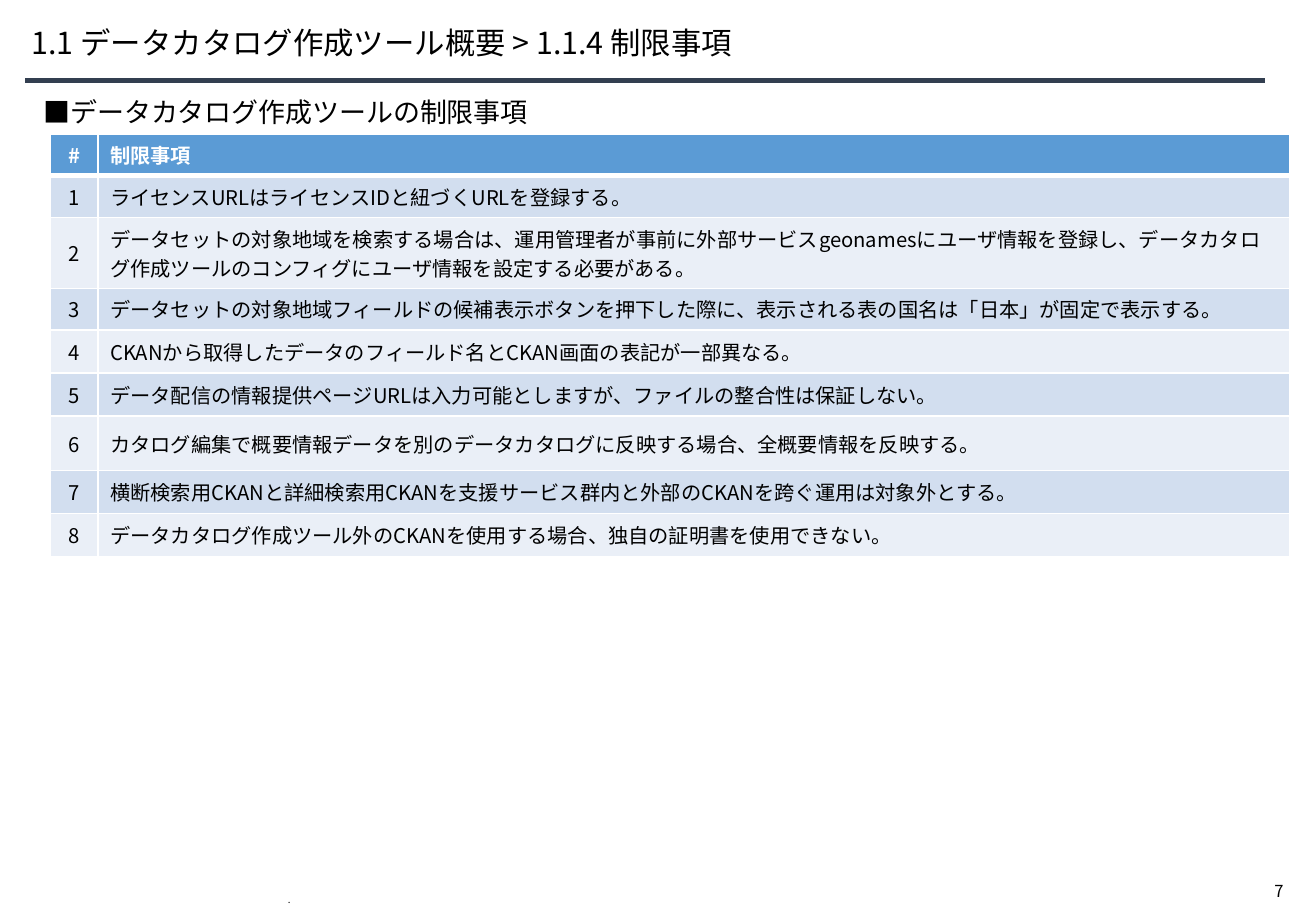
from lxml import etree
from pptx import Presentation
from pptx.dml import color
from pptx.enum import shapes, text
from pptx.oxml import ns
from pptx.util import Cm, Pt

FONT = "Noto Sans CJK JP"
BLACK, WHITE, NAVY, BLUE = "000000", "FFFFFF", "333F50", "5B9BD5"
BANDS = ("D2DEEF", "EAEFF7")
LIMITS = [
    (0.88, "ライセンスURLはライセンスIDと紐づくURLを登録する。"),
    (1.48, "データセットの対象地域を検索する場合は、運用管理者が事前に外部サービスgeonamesにユーザ情報を登録し、"
           "データカタログ作成ツールのコンフィグにユーザ情報を設定する必要がある。"),
    (0.87, "データセットの対象地域フィールドの候補表示ボタンを押下した際に、表示される表の国名は「日本」が固定で表示する。"),
    (0.9, "CKANから取得したデータのフィールド名とCKAN画面の表記が一部異なる。"),
    (0.9, "データ配信の情報提供ページURLは入力可能としますが、ファイルの整合性は保証しない。"),
    (1.14, "カタログ編集で概要情報データを別のデータカタログに反映する場合、全概要情報を反映する。"),
    (0.9, "横断検索用CKANと詳細検索用CKANを支援サービス群内と外部のCKANを跨ぐ運用は対象外とする。"),
    (0.9, "データカタログ作成ツール外のCKANを使用する場合、独自の証明書を使用できない。"),
]


def rgb(value):
    """Turn a hex string into a colour."""
    return color.RGBColor.from_string(value)


def write(frame, content, size, ink=BLACK, bold=False, align=text.PP_ALIGN.LEFT):
    """Fill a text frame with one styled paragraph and return it."""
    paragraph = frame.paragraphs[0]
    paragraph.text = content
    paragraph.alignment = align
    font = paragraph.font
    font.name, font.size, font.bold = FONT, Pt(size), bold
    font.color.rgb = rgb(ink)
    defaults = paragraph._p.get_or_add_pPr().get_or_add_defRPr()
    etree.SubElement(defaults, ns.qn("a:ea"), typeface=FONT)
    return paragraph


def add_label(slide, box, content, size, anchor=text.MSO_ANCHOR.TOP, wrap=True):
    """Add a text box and return its frame and paragraph."""
    frame = slide.shapes.add_textbox(*map(Cm, box)).text_frame
    frame.word_wrap = wrap
    frame.vertical_anchor = anchor
    return frame, write(frame, content, size)


def add_rule(slide, left, right, y):
    """Draw the line below the title."""
    rule = slide.shapes.add_connector(
        shapes.MSO_CONNECTOR.STRAIGHT, Cm(left), Cm(y), Cm(right), Cm(y))
    rule.line.color.rgb = rgb(NAVY)
    rule.line.width = Pt(3)
    etree.SubElement(rule._element.spPr, ns.qn("a:effectLst"))


def add_heading(slide, box, content):
    """Add the white section heading bar."""
    heading = slide.shapes.add_shape(shapes.MSO_SHAPE.RECTANGLE, *map(Cm, box))
    heading.shadow.inherit = False
    heading.fill.solid()
    heading.fill.fore_color.rgb = rgb(WHITE)
    heading.line.fill.background()
    heading.text_frame.word_wrap = True
    heading.text_frame.vertical_anchor = text.MSO_ANCHOR.TOP
    write(heading.text_frame, content, 16)


def set_borders(cell, top, bottom):
    """Give a cell white borders, with top and bottom widths in points."""
    properties = cell._tc.get_or_add_tcPr()
    for side, width in (("L", 1), ("R", 1), ("T", top), ("B", bottom)):
        border = etree.SubElement(properties, ns.qn(f"a:ln{side}"), w=str(Pt(width)))
        fill = etree.SubElement(border, ns.qn("a:solidFill"))
        etree.SubElement(fill, ns.qn("a:srgbClr"), val=WHITE)


def add_limits(slide, left, top, widths):
    """Add the numbered table of limits."""
    rows = [(0.87, "#", "制限事項")]
    rows += [(height, str(number), limit) for number, (height, limit) in enumerate(LIMITS, 1)]
    total = sum(row[0] for row in rows)
    table = slide.shapes.add_table(
        len(rows), len(widths), Cm(left), Cm(top), Cm(sum(widths)), Cm(total)).table
    for column, width in zip(table.columns, widths):
        column.width = Cm(width)
    for index, (height, *contents) in enumerate(rows):
        table.rows[index].height = Cm(height)
        header = index == 0
        for position, content in enumerate(contents):
            cell = table.cell(index, position)
            set_borders(cell, 3 if index == 1 else 1, 3 if header else 1)
            cell.fill.solid()
            cell.fill.fore_color.rgb = rgb(BLUE if header else BANDS[(index - 1) % 2])
            cell.vertical_anchor = text.MSO_ANCHOR.MIDDLE
            align = text.PP_ALIGN.LEFT if position else text.PP_ALIGN.CENTER
            write(cell.text_frame, content, 12, WHITE if header else BLACK, header, align)


def main():
    """Build the slide and save it."""
    deck = Presentation()
    deck.slide_width, deck.slide_height = Cm(27.51), Cm(19.05)
    slide = deck.slides.add_slide(deck.slide_layouts[6])
    add_label(slide, (26.39, 18.29, 1.09, 0.69), "7", 9.8, wrap=False)
    add_rule(slide, 0.53, 26.44, 1.68)
    _, dot = add_label(slide, (5.77, 18.69, 16, 0.36), ".", 5.7, text.MSO_ANCHOR.BOTTOM)
    dot.line_spacing = Pt(1.6)
    frame, title = add_label(slide, (0.66, 0.33, 25.2, 1.19),
                             "1.1 データカタログ作成ツール概要 > 1.1.4 制限事項", 18, text.MSO_ANCHOR.MIDDLE)
    frame.margin_left = 0
    title.line_spacing = 0.9
    add_heading(slide, (0.66, 1.88, 25.81, 1.19), "■データカタログ作成ツールの制限事項")
    add_limits(slide, 1.05, 2.8, (1, 24.92))
    deck.save("out.pptx")


if __name__ == "__main__":
    main()
